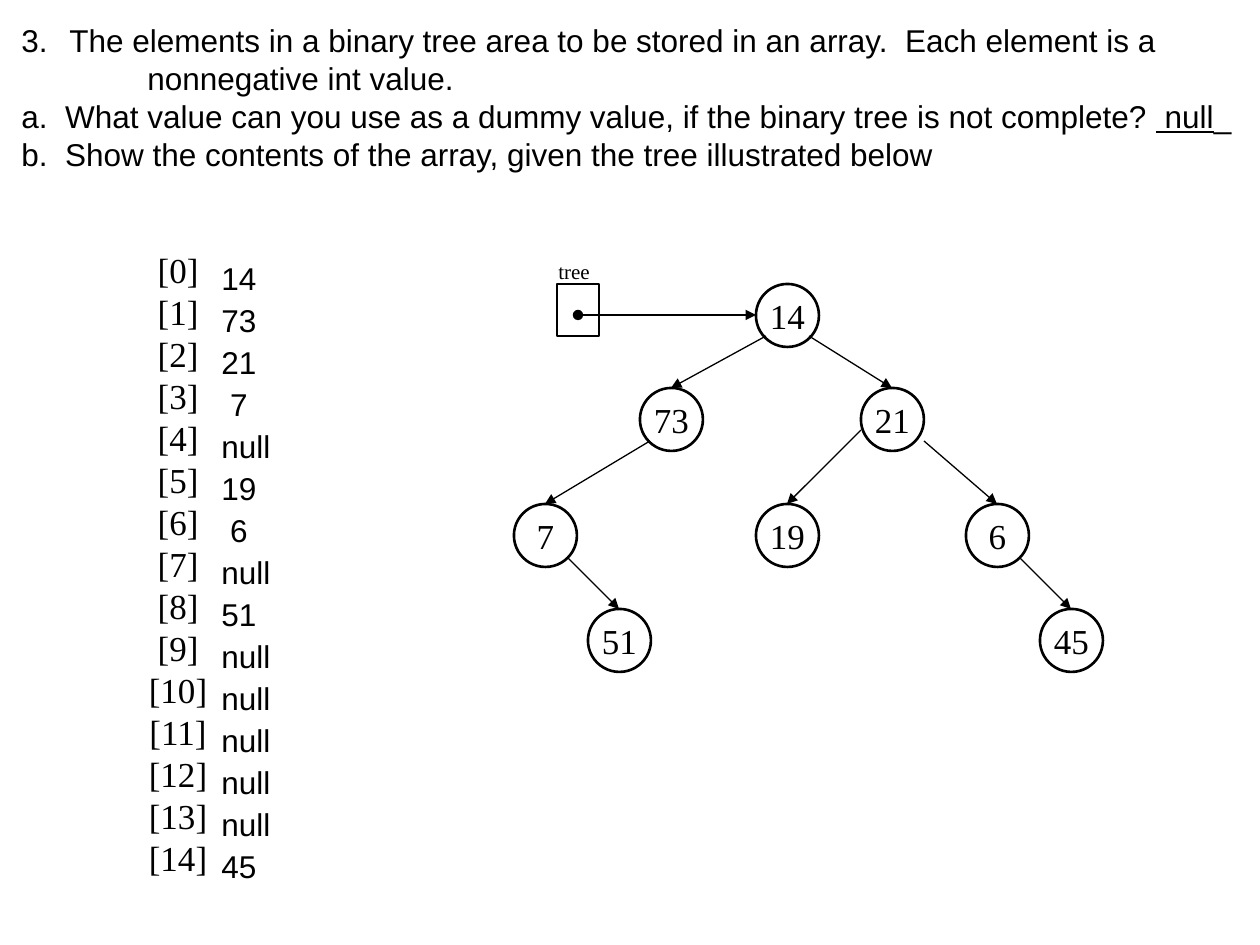
from lxml.etree import SubElement
from pptx import Presentation
from pptx.dml.color import RGBColor
from pptx.enum.shapes import MSO_CONNECTOR, MSO_SHAPE
from pptx.enum.text import MSO_ANCHOR, MSO_AUTO_SIZE, PP_ALIGN
from pptx.oxml.ns import qn
from pptx.util import Pt

PX = 7257  # EMU per pixel, 126 pixels to the inch
INK = RGBColor.from_string("000000")
SANS, SERIF = "Arial", "Times New Roman"

deck = Presentation()
deck.slide_width, deck.slide_height = 1260 * PX, 945 * PX
slide = deck.slides.add_slide(deck.slide_layouts[6])
shapes = slide.shapes


def add_run(paragraph, text, size, font, underline=None):
    run = paragraph.add_run()
    run.text = text
    run.font.size, run.font.name = Pt(size), font
    run.font.color.rgb = INK
    run.font.underline = underline


def add_text_frame(left, top, width, height, wrap=False):
    frame = shapes.add_textbox(left * PX, top * PX, width * PX, height * PX).text_frame
    frame.word_wrap = wrap
    frame.auto_size = MSO_AUTO_SIZE.SHAPE_TO_FIT_TEXT
    return frame


# Question: left margin in pixels and runs of each paragraph
question = [
    (48, ["The elements in a binary tree area to be stored in an array.  Each element is a "]),
    (174, ["nonnegative int value."]),
    (48, ["a.  What value can you use as a dummy value, if the binary tree is not complete? ",
          " null", "_"]),
    (48, ["b.  Show the contents of the array, given the tree illustrated below"]),
]
question_frame = add_text_frame(9, 15, 1246, 165)
for i, (margin, texts) in enumerate(question):
    paragraph = question_frame.add_paragraph() if i else question_frame.paragraphs[0]
    properties = paragraph._p.get_or_add_pPr()
    properties.set("marL", str(margin * PX))
    properties.set("indent", str(-48 * PX))
    if i == 0:
        SubElement(properties, qn("a:buAutoNum"), type="arabicPeriod", startAt="3")
    for text in texts:
        add_run(paragraph, text, 18, SANS, underline=text == " null")

# Tree nodes
NODE = 63
nodes = {
    "14": (756, 284),
    "73": (640, 388), "21": (861, 388),
    "7": (514, 504), "19": (756, 504), "6": (966, 504),
    "51": (588, 609), "45": (1040, 609),
}
for value, (left, top) in nodes.items():
    node = shapes.add_shape(MSO_SHAPE.OVAL, left * PX, top * PX, NODE * PX, NODE * PX)
    node.shadow.inherit = False
    node.fill.background()
    node.line.color.rgb, node.line.width = INK, Pt(1.5)
    node.text_frame.word_wrap = False
    node.text_frame.vertical_anchor = MSO_ANCHOR.MIDDLE
    label = node.text_frame.paragraphs[0]
    label.alignment = PP_ALIGN.CENTER
    add_run(label, value, 20, SERIF)

# Root reference
reference = shapes.add_shape(MSO_SHAPE.RECTANGLE, 557 * PX, 284 * PX, 42 * PX, 52 * PX)
reference.shadow.inherit = False
reference.fill.background()
reference.line.color.rgb, reference.line.width = INK, Pt(0.75)
add_run(add_text_frame(546, 252, 57, 38).paragraphs[0], "tree", 12, SERIF)

# Arrows: each edge leaves its parent at an offset and ends at the child's top centre
edges = [
    ("14", (10, 52), "73"), ("14", (53, 52), "21"),
    ("73", (10, 53), "7"), ("21", (0, 42), "19"), ("21", (63, 53), "6"),
    ("7", (53, 53), "51"), ("6", (53, 53), "45"),
]
arrows = [(578, 315, 756, 315, "oval")]
for parent, (dx, dy), child in edges:
    (px, py), (cx, cy) = nodes[parent], nodes[child]
    arrows.append((px + dx, py + dy, cx + NODE // 2, cy, None))
for x1, y1, x2, y2, head in arrows:
    arrow = shapes.add_connector(MSO_CONNECTOR.STRAIGHT, x1 * PX, y1 * PX, x2 * PX, y2 * PX)
    arrow.line.color.rgb, arrow.line.width = INK, Pt(0.75)
    outline = arrow.line._get_or_add_ln()
    if head:
        SubElement(outline, qn("a:headEnd"), type=head)
    SubElement(outline, qn("a:tailEnd"), type="triangle")
    SubElement(arrow._element.spPr, qn("a:effectLst"))

# Array indices and contents
contents = ["14", "73", "21", " 7", "null", "19", " 6", "null", "51",
            "null", "null", "null", "null", "null", "45"]
index_frame = add_text_frame(136, 242, 84, 649)
for i, value in enumerate(contents):
    index = index_frame.add_paragraph() if i else index_frame.paragraphs[0]
    index.alignment = PP_ALIGN.CENTER
    add_run(index, f"[{i}]", 20, SERIF)
    width = 94 if value == "null" else 73
    cell = add_text_frame(209, 253 + 42 * i, width, 50, wrap=True)
    add_run(cell.paragraphs[0], value, 18, SANS)

deck.save("out.pptx")
